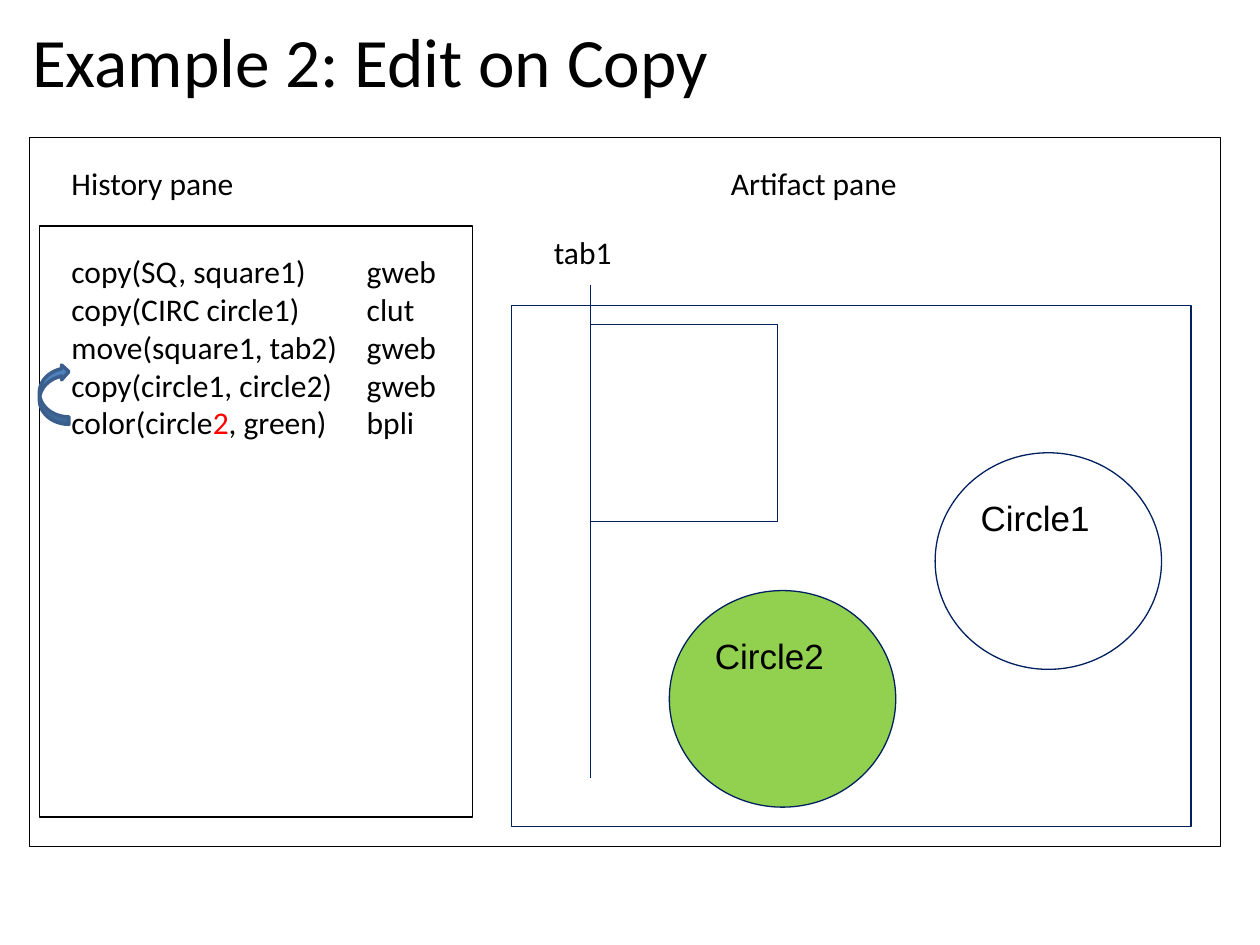
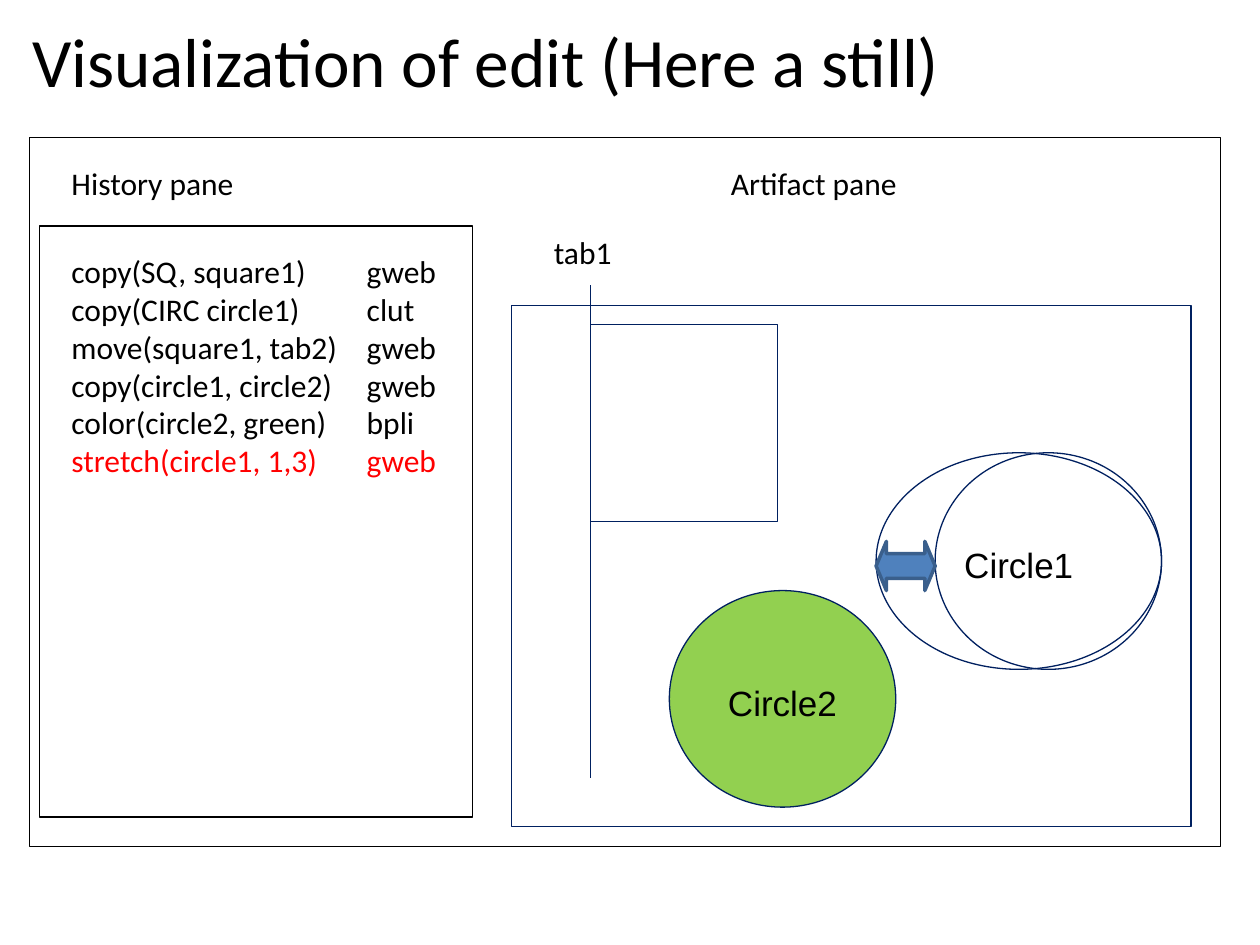
import dataclasses

import lxml.etree
import pptx
import pptx.dml.color
import pptx.enum.shapes
import pptx.enum.text
import pptx.oxml.ns
import pptx.util

SHAPE = pptx.enum.shapes.MSO_SHAPE
ALIGN = pptx.enum.text.PP_ALIGN
ANCHOR = pptx.enum.text.MSO_ANCHOR
UNIT = 10 / 64  # grid step in inches: the slide is 64 columns by 48 rows


@dataclasses.dataclass(frozen=True)
class Theme:
    """Colours, fonts and sizes shared by the slides."""
    ink: str = "000000"
    navy: str = "002060"
    paper: str = "FFFFFF"
    green: str = "92D050"
    red: str = "FF0000"
    blue: str = "4F81BD"
    blue_edge: str = "3A5F8C"
    body_font: str = "Calibri"
    label_font: str = "Arial"
    title_size: float = 39.6
    body_size: float = 18
    label_size: float = 20
    thin: float = 0.75
    medium: float = 1
    thick: float = 2


THEME = Theme()


@dataclasses.dataclass(frozen=True)
class Box:
    """A rectangle in grid columns and rows."""
    left: float
    top: float
    width: float
    height: float

    def inner(self, left, top, width, height):
        """Return a box placed relative to this one."""
        return Box(self.left + left, self.top + top, width, height)

    def lengths(self):
        """Return left, top, width and height as slide lengths."""
        return [pptx.util.Inches(value * UNIT)
                for value in (self.left, self.top, self.width, self.height)]


def rgb(colour):
    """Turn a hex string into a colour."""
    return pptx.dml.color.RGBColor.from_string(colour)


def write_text(frame, lines, size=THEME.body_size, font=THEME.body_font,
               align=ALIGN.LEFT, anchor=ANCHOR.TOP, spacing=None, before=None):
    """Fill a text frame; a line is a string or a list of (text, colour)."""
    frame.word_wrap = True
    frame.vertical_anchor = anchor
    for index, line in enumerate(lines):
        para = frame.paragraphs[0] if index == 0 else frame.add_paragraph()
        para.alignment = align
        if spacing:
            para.line_spacing = spacing
        if before:
            para.space_before = pptx.util.Pt(before)
        spans = [(line, THEME.ink)] if isinstance(line, str) else line
        for text, colour in spans:
            span = para.add_run()
            span.text = text
            span.font.name = font
            span.font.size = pptx.util.Pt(size)
            span.font.color.rgb = rgb(colour)


def add_text(page, box, *lines, **style):
    """Add a text box."""
    write_text(page.shapes.add_textbox(*box.lengths()).text_frame, lines, **style)


def add_outline(page, box, kind=SHAPE.RECTANGLE, line=THEME.navy,
                weight=THEME.thin, fill=None):
    """Add a preset shape, unfilled unless a fill is given."""
    shape = page.shapes.add_shape(kind, *box.lengths())
    shape.shadow.inherit = False
    if fill:
        shape.fill.solid()
        shape.fill.fore_color.rgb = rgb(fill)
    else:
        shape.fill.background()
    shape.line.color.rgb = rgb(line)
    shape.line.width = pptx.util.Pt(weight)
    return shape


def add_arrow(page, box, kind, adjustments):
    """Add a blue block arrow."""
    arrow = add_outline(page, box, kind, THEME.blue_edge, THEME.thick, THEME.blue)
    for index, value in enumerate(adjustments):
        arrow.adjustments[index] = value
    return arrow


def add_circle(page, box, label, fill=None, **style):
    """Add a labelled ellipse."""
    circle = add_outline(page, box, SHAPE.OVAL, fill=fill)
    write_text(circle.text_frame, [label], size=THEME.label_size,
               font=THEME.label_font, spacing=1.15, before=7, **style)


def add_tab_line(page, box):
    """Add the vertical tab line along the left edge of a box."""
    left, top, _, height = box.lengths()
    line = page.shapes.add_connector(
        pptx.enum.shapes.MSO_CONNECTOR.STRAIGHT, left, top, left, top + height)
    line.line.color.rgb = rgb(THEME.navy)
    line.line.width = pptx.util.Pt(THEME.thin)
    lxml.etree.SubElement(line._element.spPr, pptx.oxml.ns.qn("a:effectLst"))


def history_pane(page, box, entries):
    """Draw the framed list of commands and their authors."""
    commands, authors = zip(*entries)
    rows = 1.95 * len(entries) + 0.64
    add_outline(page, box.inner(0, 3.5, box.width, box.height - 3.5),
                line=THEME.ink, weight=THEME.medium)
    add_text(page, box.inner(1, 0, 19, 3), "History pane")
    add_text(page, box.inner(1, 4.5, 16, rows), *commands)
    add_text(page, box.inner(16, 4.5, 5, rows), *authors)


def artifact_pane(page, box, circle1, **label_style):
    """Draw the canvas with its tab line, square and two circles."""
    add_outline(page, box.inner(0, 7.5, box.width, box.height - 7.5))
    add_outline(page, box.inner(4, 8.5, 9.5, 10), fill=THEME.paper)
    add_circle(page, circle1, "Circle1", **label_style)
    add_circle(page, box.inner(8, 22, 11.5, 11), "Circle2",
               fill=THEME.green, **label_style)
    add_tab_line(page, box.inner(4, 6.5, 0, 25))
    add_text(page, box.inner(1.5, 3.5, 4.8, 3), "tab1")
    add_text(page, box.inner(10.5, 0, 19, 3), "Artifact pane")


def start_page(deck, title):
    """Add a blank slide with title and window; return it and its pane boxes."""
    page = deck.slides.add_slide(deck.slide_layouts[6])
    window = Box(1.5, 7, 60.5, 36)
    add_outline(page, window, line=THEME.ink)
    add_text(page, Box(1, 1, 57.6, 4.1), title,
             size=THEME.title_size, anchor=ANCHOR.MIDDLE)
    return page, window.inner(0.5, 1, 22, 33.5), window.inner(24.5, 1, 34.5, 34)


SHARED_ENTRIES = [
    ("copy(SQ, square1)", "gweb"),
    ("copy(CIRC circle1)", "clut"),
    ("move(square1, tab2)", "gweb"),
    ("copy(circle1, circle2)", "gweb"),
]


def edit_slide(deck):
    """Build the slide where the colour command is edited on the copy."""
    page, history, artifact = start_page(deck, "Example 2: Edit on Copy")
    edited = [("color(circle", THEME.ink), ("2", THEME.red),
              (", green)", THEME.ink)]
    artifact_pane(page, artifact, artifact.inner(21.5, 15, 11.5, 11))
    history_pane(page, history, SHARED_ENTRIES + [(edited, "bpli")])
    arrow = add_arrow(page, history.inner(0, 10.5, 1.5, 3.05),
                      SHAPE.CURVED_LEFT_ARROW, (0.25, 0.5, 0.25))
    arrow.rotation = 180


def stretch_slide(deck):
    """Build the slide that shows the stretch of the first circle."""
    page, history, artifact = start_page(
        deck, "Visualization of edit (Here a still)")
    stretch = ([("stretch(circle1, 1,3)", THEME.red)], [("gweb", THEME.red)])
    artifact_pane(page, artifact, artifact.inner(18.5, 15, 14.5, 11),
                  align=ALIGN.CENTER, anchor=ANCHOR.MIDDLE)
    history_pane(page, history, SHARED_ENTRIES
                 + [("color(circle2, green)", "bpli"), stretch])
    add_outline(page, artifact.inner(21.5, 15, 11.5, 11), SHAPE.OVAL)
    add_arrow(page, artifact.inner(18.5, 19.5, 3, 2.5),
              SHAPE.LEFT_RIGHT_ARROW, (0.5, 0.21))


def main():
    """Build and save the deck."""
    deck = pptx.Presentation()
    deck.slide_width = pptx.util.Inches(64 * UNIT)
    deck.slide_height = pptx.util.Inches(48 * UNIT)
    edit_slide(deck)
    stretch_slide(deck)
    deck.save("out.pptx")


main()
